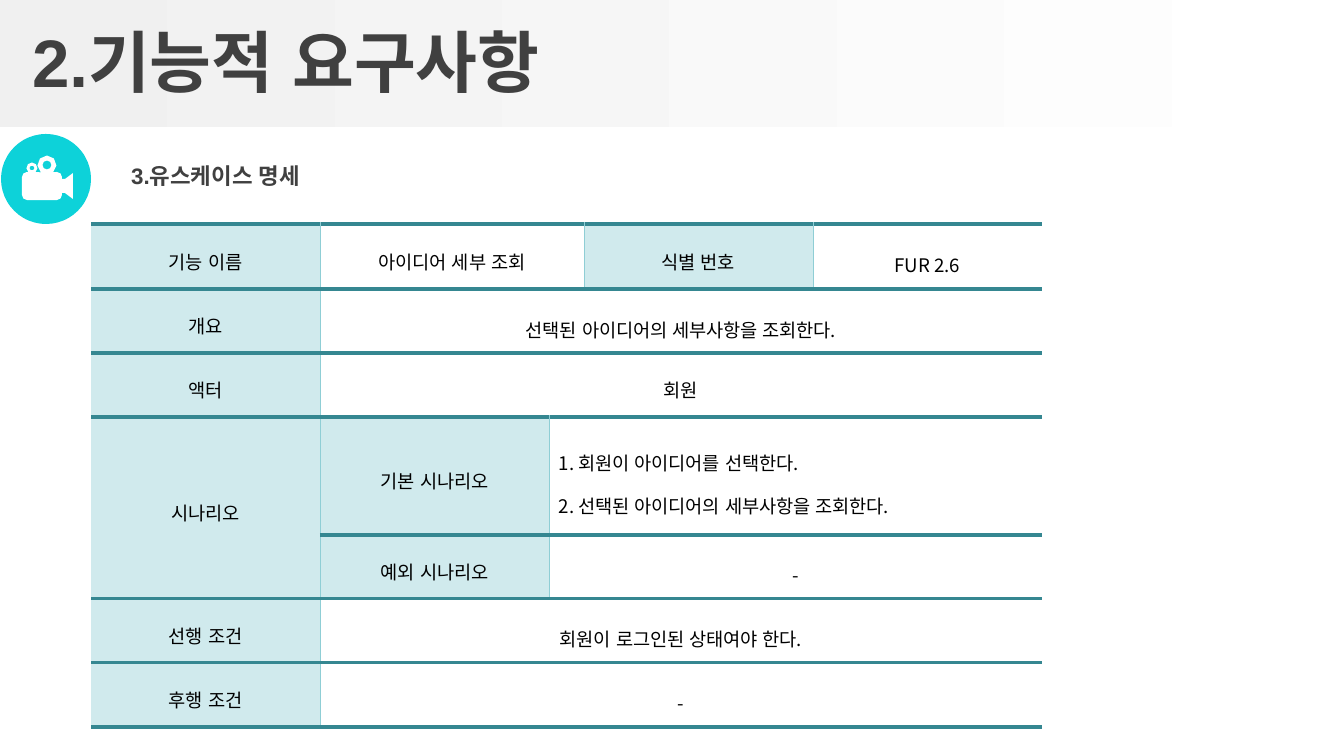
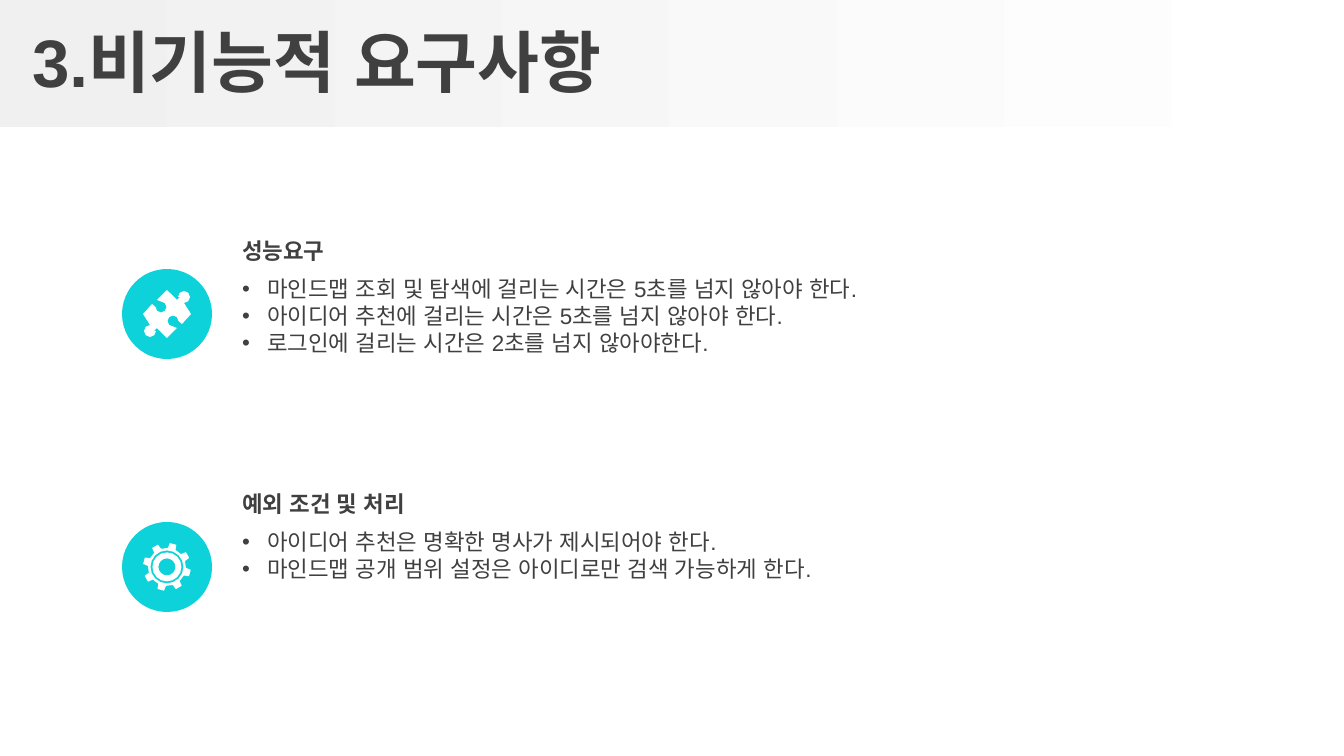
import math
from dataclasses import dataclass

from lxml import etree
from pptx import Presentation
from pptx import util as u
from pptx.dml.color import RGBColor
from pptx.enum import shapes, text
from pptx.oxml import ns

PX = 914400 / 134.4
SLIDE_WIDTH, SLIDE_HEIGHT = 1344, 756
ICON_SIZE = 90
LATIN_FONT = "Arial"
SYMBOL_FONT = "Noto Sans CJK KR"

WHITE = RGBColor(0xFF, 0xFF, 0xFF)
BLACK = RGBColor(0x00, 0x00, 0x00)
DARK_GREY = RGBColor(0x40, 0x40, 0x40)
BAND_GREY = RGBColor(0xF0, 0xF0, 0xF0)
CYAN = RGBColor(0x0D, 0xD2, 0xD9)
PALE_TEAL = RGBColor(0xD0, 0xEA, 0xED)
LIGHT_TEAL = RGBColor(0x8F, 0xCE, 0xD5)
TEAL = RGBColor(0x35, 0x87, 0x91)

CENTER = text.PP_ALIGN.CENTER
LEFT = text.PP_ALIGN.LEFT
JUSTIFY = text.PP_ALIGN.JUSTIFY

Contour = list[tuple[float, float]]


@dataclass(frozen=True)
class SpecCell:
    row: int
    column: int
    text: str
    columns: int = 1
    rows: int = 1
    header: bool = False
    align: text.PP_ALIGN = CENTER


@dataclass(frozen=True)
class Requirement:
    top: int
    width: int
    height: int
    heading: str
    items: str
    icon: list[Contour]


COLUMN_WIDTHS = (229, 229, 35, 229, 229)
ROW_HEIGHTS = (65, 64, 64, 118, 64, 64, 64)
SPEC_CELLS = (
    SpecCell(0, 0, "기능 이름", header=True),
    SpecCell(0, 1, "아이디어 세부 조회", columns=2),
    SpecCell(0, 3, "식별 번호", header=True),
    SpecCell(0, 4, "FUR 2.6"),
    SpecCell(1, 0, "개요", header=True),
    SpecCell(1, 1, "선택된 아이디어의 세부사항을 조회한다|.", columns=4),
    SpecCell(2, 0, "액터", header=True),
    SpecCell(2, 1, "회원", columns=4),
    SpecCell(3, 0, "시나리오", rows=2, header=True),
    SpecCell(3, 1, "기본 시나리오", header=True),
    SpecCell(3, 2, "1. |회원이 아이디어를 선택한다|.\n"
             "2. |선택된 아이디어의 세부사항을 조회한다|.", columns=3, align=JUSTIFY),
    SpecCell(4, 1, "예외 시나리오", header=True),
    SpecCell(4, 2, "-", columns=3),
    SpecCell(5, 0, "선행 조건", header=True),
    SpecCell(5, 1, "회원이 로그인된 상태여야 한다|.", columns=4),
    SpecCell(6, 0, "후행 조건", header=True),
    SpecCell(6, 1, "-", columns=4),
)


def px(length: float) -> int:
    return round(length * PX)


def box(left: int, top: int, width: int, height: int) -> tuple[int, ...]:
    return tuple(px(length) for length in (left, top, width, height))


def write_text(frame, content: str, *, size: int = 12, color: RGBColor = DARK_GREY,
               bold: bool = False, align=LEFT, spacing: float | None = None,
               bullet: bool = False) -> None:
    frame.word_wrap = True
    for index, line in enumerate(content.split("\n")):
        paragraph = frame.add_paragraph() if index else frame.paragraphs[0]
        paragraph.alignment = align
        if spacing:
            paragraph.line_spacing = spacing
        if bullet:
            properties = paragraph._p.get_or_add_pPr()
            properties.set("marL", str(px(25)))
            properties.set("indent", str(px(-25)))
            etree.SubElement(properties, ns.qn("a:buFont")).set("typeface", LATIN_FONT)
            etree.SubElement(properties, ns.qn("a:buChar")).set("char", "•")
        for piece in line.split("|"):
            run = paragraph.add_run()
            run.text = piece
            run.font.size = u.Pt(size)
            run.font.bold = bold
            run.font.color.rgb = color
            has_hangul = any(letter >= "가" for letter in piece)
            run.font.name = LATIN_FONT if has_hangul else SYMBOL_FONT
            east_asian = etree.SubElement(run._r.get_or_add_rPr(), ns.qn("a:ea"))
            east_asian.set("typeface", run.font.name)


def add_textbox(container, bounds: tuple[int, ...], content: str, **style) -> None:
    frame = container.add_textbox(*bounds).text_frame
    write_text(frame, content, **style)
    frame.auto_size = text.MSO_AUTO_SIZE.SHAPE_TO_FIT_TEXT


def add_layout_band(slide) -> None:
    band = slide.shapes.add_shape(shapes.MSO_SHAPE.RECTANGLE, *box(0, 0, 1339, 127))
    band.shadow.inherit = False
    band.line.fill.background()
    band.fill.gradient()
    band.fill.gradient_angle = 0
    for stop, position, color in zip(band.fill.gradient_stops, (0, 1), (BAND_GREY, WHITE)):
        stop.position = position
        stop.color.rgb = color
    slide.slide_layout.shapes.element.insert(2, band.element)


def add_titled_slide(presentation, title: str):
    slide = presentation.slides.add_slide(presentation.slide_layouts[5])
    placeholder = slide.shapes.title
    (placeholder.left, placeholder.top,
     placeholder.width, placeholder.height) = box(0, 4, SLIDE_WIDTH, 114)
    frame = placeholder.text_frame
    frame.vertical_anchor = text.MSO_ANCHOR.MIDDLE
    frame.auto_size = text.MSO_AUTO_SIZE.NONE
    write_text(frame, title, size=36, bold=True)
    return slide


def arc(x: float, y: float, radius: float, start: int, end: int) -> Contour:
    steps = math.ceil(abs(end - start) / 50)
    angles = (math.radians(start + (end - start) * step / steps) for step in range(steps + 1))
    return [(x + radius * math.cos(a), y + radius * math.sin(a)) for a in angles]


def ring(x: float, y: float, radius: float, sides: int) -> Contour:
    angles = (math.tau * side / sides for side in range(sides))
    return [(x + radius * math.cos(a), y + radius * math.sin(a)) for a in angles]


def camera_contours() -> list[Contour]:
    lens = [(16, 0), (19, 0), (27, -6), (27, 20), (19, 14), (16, 14)]
    outline = (
        arc(1, -14, 9.5, 130, 410) + arc(11, -2, 5, 270, 360) + lens
        + arc(11, 16, 5, 0, 90) + arc(-19, 16, 5, 90, 180)
        + arc(-19, -2, 5, 180, 270) + arc(-14, -11, 5.5, 130, 410)
    )
    return [outline, ring(1, -14, 4.5, 8), ring(-14, -11, 2.5, 6)]


def puzzle_contours() -> list[Contour]:
    half = (
        [(0, -24), (10, -14), (13, -17)] + arc(17, -17, 6, 180, 450)
        + [(24, 0), (15, 10)] + arc(6, 7, 5.5, 0, -270) + [(10, 14)]
    )
    return [half + [(-x, -y) for x, y in half]]


def gear_contours() -> list[Contour]:
    teeth = []
    for center in range(-75, 285, 45):
        for offset, radius in ((-12, 19), (-8, 24), (8, 24), (12, 19)):
            angle = math.radians(center + offset)
            teeth.append((radius * math.cos(angle), radius * math.sin(angle)))
    return [teeth] + [ring(0, 0, radius, 16) for radius in (16.5, 14.5, 8.5)]


def paint(shape, color: RGBColor) -> None:
    shape.shadow.inherit = False
    shape.fill.solid()
    shape.fill.fore_color.rgb = color
    shape.line.fill.background()


def add_icon(slide, left: int, top: int, contours: list[Contour]) -> None:
    circle = slide.shapes.add_shape(
        shapes.MSO_SHAPE.OVAL, *box(left, top, ICON_SIZE, ICON_SIZE))
    paint(circle, CYAN)
    center_x, center_y = left + ICON_SIZE / 2, top + ICON_SIZE / 2
    placed = [[(px(center_x + x), px(center_y + y)) for x, y in contour]
              for contour in contours]
    builder = slide.shapes.build_freeform(*placed[0][0])
    for index, contour in enumerate(placed):
        if index:
            builder.move_to(*contour[0])
        builder.add_line_segments(contour[1:], close=True)
    paint(builder.convert_to_shape(), WHITE)


def add_border(cell, side: str, color: RGBColor, width: float) -> None:
    line = etree.SubElement(cell._tc.get_or_add_tcPr(), ns.qn(f"a:ln{side}"))
    line.set("w", str(u.Pt(width)))
    if width:
        fill = etree.SubElement(line, ns.qn("a:solidFill"))
        etree.SubElement(fill, ns.qn("a:srgbClr")).set("val", str(color))
    else:
        etree.SubElement(line, ns.qn("a:noFill"))


def format_spec_cell(table, item: SpecCell) -> None:
    last_row = item.row + item.rows - 1
    last_column = item.column + item.columns - 1
    origin = table.cell(item.row, item.column)
    if item.rows * item.columns > 1:
        origin.merge(table.cell(last_row, last_column))
    for row in range(item.row, last_row + 1):
        for column in range(item.column, last_column + 1):
            cell = table.cell(row, column)
            left = 0.28 if column == item.column and column > 0 else 0
            right = 0.28 if column == last_column < len(COLUMN_WIDTHS) - 1 else 0
            top = (1.98 if row else 2.55) if row == item.row else 0
            bottom = (1.98 if row < len(ROW_HEIGHTS) - 1 else 2.55) if row == last_row else 0
            add_border(cell, "L", LIGHT_TEAL, left)
            add_border(cell, "R", LIGHT_TEAL, right)
            add_border(cell, "T", TEAL, top)
            add_border(cell, "B", TEAL, bottom)
            if item.header:
                cell.fill.solid()
                cell.fill.fore_color.rgb = PALE_TEAL
            else:
                cell.fill.background()
    origin.vertical_anchor = text.MSO_ANCHOR.MIDDLE
    origin.margin_left = origin.margin_right = px(10)
    origin.margin_top = origin.margin_bottom = px(3)
    write_text(origin.text_frame, item.text, size=10, color=BLACK,
               align=item.align, spacing=1.6)


def add_spec_table(slide) -> None:
    bounds = box(91, 224, sum(COLUMN_WIDTHS), sum(ROW_HEIGHTS))
    table = slide.shapes.add_table(len(ROW_HEIGHTS), len(COLUMN_WIDTHS), *bounds).table
    table.first_row = False
    table.horz_banding = False
    for column, width in zip(table.columns, COLUMN_WIDTHS):
        column.width = px(width)
    for row, height in zip(table.rows, ROW_HEIGHTS):
        row.height = px(height)
    for item in SPEC_CELLS:
        format_spec_cell(table, item)


def add_requirement(slide, item: Requirement) -> None:
    group = slide.shapes.add_group_shape()
    add_textbox(group.shapes, box(229, item.top, item.width, item.height),
                item.items, bullet=True)
    add_textbox(group.shapes, box(229, item.top - 38, item.width, 40),
                item.heading, bold=True)
    add_icon(slide, 122, item.top, item.icon)


def main() -> None:
    presentation = Presentation()
    presentation.slide_width = px(SLIDE_WIDTH)
    presentation.slide_height = px(SLIDE_HEIGHT)

    functional = add_titled_slide(presentation, " 2.기능적 요구사항")
    add_layout_band(functional)
    add_textbox(functional.shapes, box(118, 156, 289, 40), "3.유스케이스 명세", bold=True)
    add_icon(functional, 1, 134, camera_contours())
    add_spec_table(functional)

    non_functional = add_titled_slide(presentation, " 3.비기능적 요구사항")
    requirements = (
        Requirement(269, 972, 95, "성능요구",
                    "마인드맵 조회 및 탐색에 걸리는 시간은 5초를 넘지 않아야 한다.\n"
                    "아이디어 추천에 걸리는 시간은 5초를 넘지 않아야 한다.\n"
                    "로그인에 걸리는 시간은 2초를 넘지 않아야한다.", puzzle_contours()),
        Requirement(522, 982, 67, "예외 조건 및 처리",
                    "아이디어 추천은 명확한 명사가 제시되어야 한다.\n"
                    "마인드맵 공개 범위 설정은 아이디로만 검색 가능하게 한다.", gear_contours()),
    )
    for requirement in requirements:
        add_requirement(non_functional, requirement)

    presentation.save("out.pptx")


if __name__ == "__main__":
    main()
